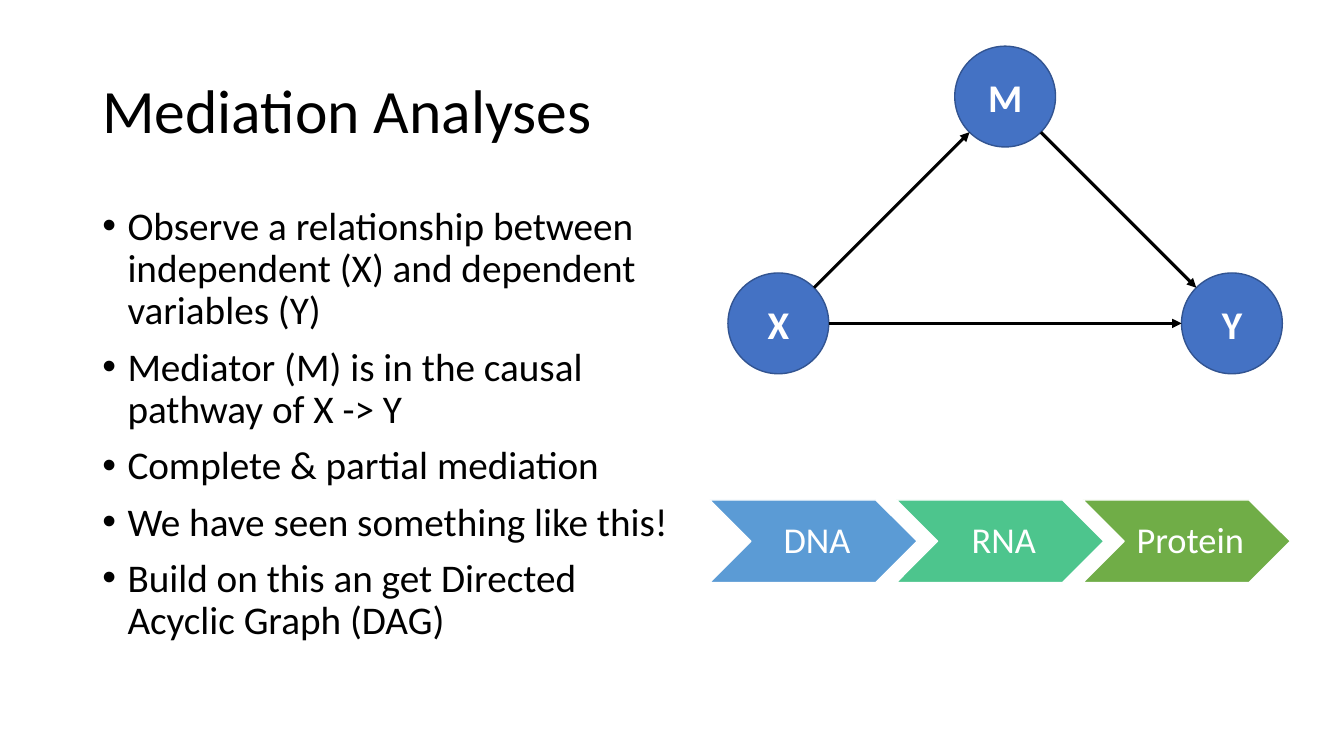
from math import hypot

from lxml.etree import SubElement
from pptx import Presentation
from pptx.dml.color import RGBColor
from pptx.enum.shapes import MSO_CONNECTOR, MSO_SHAPE
from pptx.enum.text import MSO_ANCHOR, PP_ALIGN
from pptx.oxml.ns import qn
from pptx.util import Pt

BLACK, WHITE = "000000", "FFFFFF"
NODE_SIZE = 72
NODE_CENTRES = {"X": (556, 231), "M": (718, 69), "Y": (880, 231)}
CAUSAL_PATHS = [("X", "M"), ("X", "Y"), ("M", "Y")]
DOGMA_STEPS = [("DNA", "5B9BD5"), ("RNA", "4DC58D"), ("Protein", "70AD47")]
STEP_LEFT, STEP_TOP, STEP_PITCH = 506.9, 357.1, 133.3
STEP_WIDTH, STEP_HEIGHT = 148.3, 59
POINTS = [
    "Observe a relationship between independent (X) and dependent variables (Y)",
    "Mediator (M) is in the causal pathway of X -> Y",
    "Complete & partial mediation",
    "We have seen something like this!",
    "Build on this an get Directed Acyclic Graph (DAG)",
]


def color(value):
    return RGBColor.from_string(value)


class SlideBuilder:
    font_name = "Calibri"
    line_spacing = 0.9

    def __init__(self, slide):
        self.slide = slide

    def add_run(self, paragraph, text, size, hex_color, bold=False):
        run = paragraph.add_run()
        run.text = text
        run.font.name = self.font_name
        run.font.size = Pt(size)
        run.font.bold = bold
        run.font.color.rgb = color(hex_color)

    def text_box(self, left, top, width, height, anchor):
        box = self.slide.shapes.add_textbox(Pt(left), Pt(top), Pt(width), Pt(height))
        box.text_frame.word_wrap = True
        box.text_frame.vertical_anchor = anchor
        return box.text_frame

    def title(self, text, *bounds):
        paragraph = self.text_box(*bounds, MSO_ANCHOR.MIDDLE).paragraphs[0]
        paragraph.line_spacing = self.line_spacing
        self.add_run(paragraph, text, 44, BLACK)

    def bullet_list(self, items, *bounds):
        frame = self.text_box(*bounds, MSO_ANCHOR.TOP)
        for index, item in enumerate(items):
            paragraph = frame.add_paragraph() if index else frame.paragraphs[0]
            paragraph.line_spacing = self.line_spacing
            paragraph.space_before = Pt(10 if index else 0)
            properties = paragraph._p.get_or_add_pPr()
            properties.set("marL", str(Pt(18)))
            properties.set("indent", str(Pt(-18)))
            SubElement(properties, qn("a:buFont"), typeface="Arial")
            SubElement(properties, qn("a:buChar"), char="•")
            self.add_run(paragraph, item, 28, BLACK)

    def filled_shape(self, kind, left, top, width, height, fill, line):
        shape = self.slide.shapes.add_shape(
            kind, Pt(left), Pt(top), Pt(width), Pt(height))
        shape.shadow.inherit = False
        shape.fill.solid()
        shape.fill.fore_color.rgb = color(fill)
        shape.line.color.rgb = color(line)
        shape.line.width = Pt(1)
        shape.text_frame.word_wrap = True
        shape.text_frame.vertical_anchor = MSO_ANCHOR.MIDDLE
        shape.text_frame.paragraphs[0].alignment = PP_ALIGN.CENTER
        return shape.text_frame

    def node(self, label, x, y):
        frame = self.filled_shape(
            MSO_SHAPE.OVAL, x - NODE_SIZE / 2, y - NODE_SIZE / 2,
            NODE_SIZE, NODE_SIZE, "4472C4", "325491")
        self.add_run(frame.paragraphs[0], label, 28, WHITE, bold=True)

    def chevron(self, label, fill, left):
        frame = self.filled_shape(
            MSO_SHAPE.CHEVRON, left, STEP_TOP, STEP_WIDTH, STEP_HEIGHT, fill, WHITE)
        frame.margin_left = Pt(8)
        frame.margin_right = frame.margin_top = frame.margin_bottom = Pt(2.7)
        frame.paragraphs[0].line_spacing = self.line_spacing
        self.add_run(frame.paragraphs[0], label, 26, WHITE)

    def arrow(self, start, end):
        """Draw an arrow between the rims of two nodes given by their centres."""
        (x1, y1), (x2, y2) = start, end
        share = NODE_SIZE / 2 / hypot(x2 - x1, y2 - y1)
        dx, dy = (x2 - x1) * share, (y2 - y1) * share
        connector = self.slide.shapes.add_connector(
            MSO_CONNECTOR.STRAIGHT,
            Pt(x1 + dx), Pt(y1 + dy), Pt(x2 - dx), Pt(y2 - dy))
        connector.line.color.rgb = color(BLACK)
        connector.line.width = Pt(2.25)
        SubElement(connector.line._get_or_add_ln(), qn("a:tailEnd"), type="triangle")
        SubElement(connector._element.spPr, qn("a:effectLst"))


def main():
    presentation = Presentation()
    presentation.slide_width, presentation.slide_height = Pt(960), Pt(540)
    slide = presentation.slides.add_slide(presentation.slide_layouts[6])
    builder = SlideBuilder(slide)

    builder.title("Mediation Analyses", 66, 28.75, 828, 104.4)
    builder.bullet_list(POINTS, 66, 143.75, 430.5, 342.6)
    for label, centre in NODE_CENTRES.items():
        builder.node(label, *centre)
    for source, target in CAUSAL_PATHS:
        builder.arrow(NODE_CENTRES[source], NODE_CENTRES[target])
    for index, (label, fill) in enumerate(DOGMA_STEPS):
        builder.chevron(label, fill, STEP_LEFT + index * STEP_PITCH)

    presentation.save("out.pptx")


if __name__ == "__main__":
    main()
